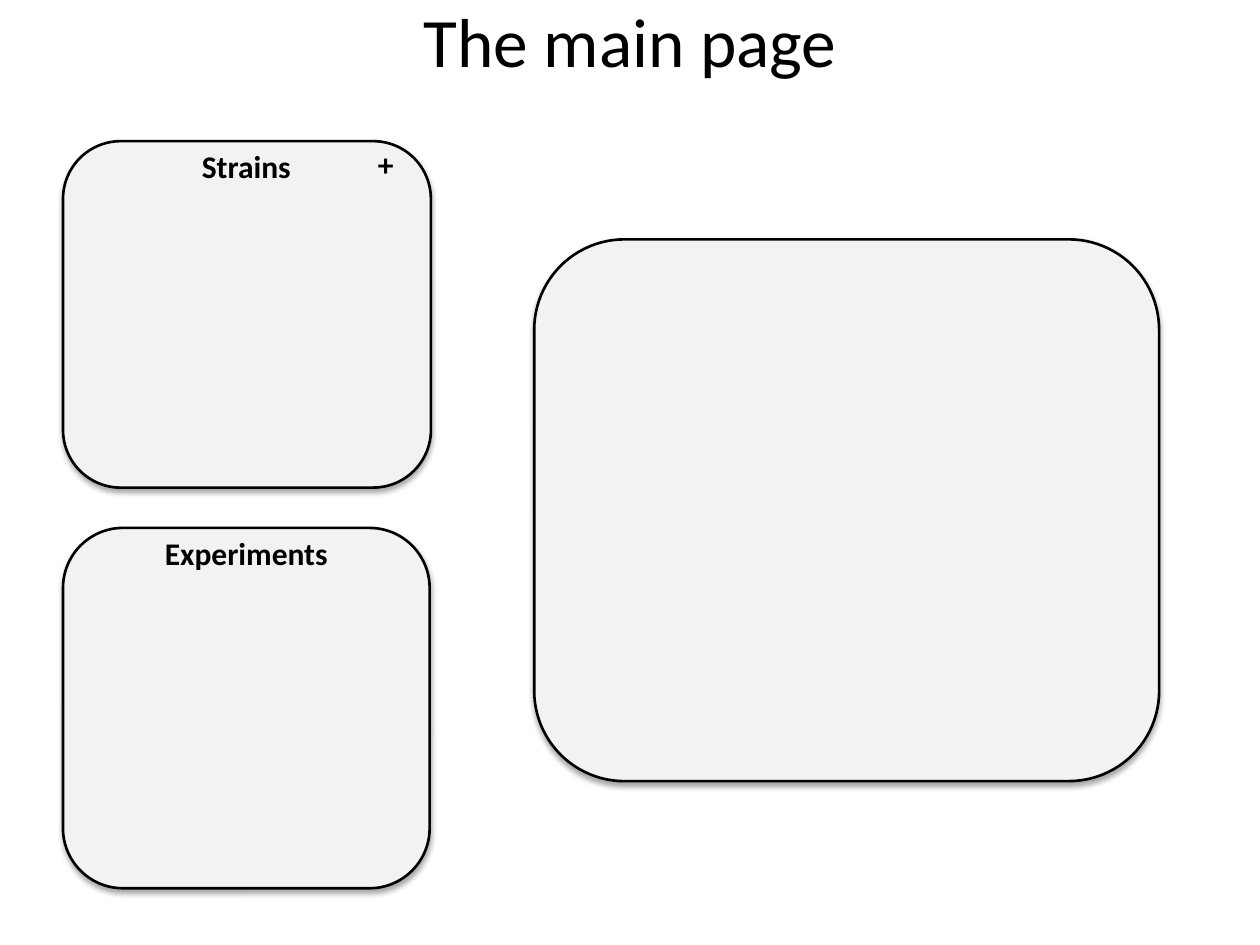
from pptx import Presentation
from pptx.dml.color import RGBColor
from pptx.enum.shapes import MSO_SHAPE as Shape
from pptx.enum.text import MSO_ANCHOR as Anchor, MSO_AUTO_SIZE as Fit, PP_ALIGN as Align
from pptx.util import Inches, Pt

WIDTH, HEIGHT = 10, 7.5
LEFT = 0.5            # shared left edge of title and panels
SIDE = 2.91           # width of the left column
BLACK, GREY = "000000", "F2F2F2"


def color(code):
    return RGBColor.from_string(code)


def style(frame, size, bold=None, align=Align.CENTER):
    for par in frame.paragraphs:
        par.alignment = align
        for run in par.runs:
            font = run.font
            font.name, font.size, font.bold = "Calibri", Pt(size), bold
            font.color.rgb = color(BLACK)


def add_title(slide, text):
    title = slide.shapes.title
    title.left, title.top = Inches(LEFT), 0
    title.width, title.height = Inches(WIDTH - 2 * LEFT), Inches(0.63)
    frame = title.text_frame
    frame.text = text
    frame.auto_size = Fit.NONE
    frame.vertical_anchor = Anchor.MIDDLE
    style(frame, 39.6)


def add_panel(slide, *box):
    # The theme's soft shadow is kept
    panel = slide.shapes.add_shape(Shape.ROUNDED_RECTANGLE, *map(Inches, box))
    panel.fill.solid()
    panel.fill.fore_color.rgb = color(GREY)
    panel.line.color.rgb = color(BLACK)
    panel.line.width = Pt(1.5)


def add_label(slide, text, left, top, width, align=Align.CENTER):
    box = slide.shapes.add_textbox(*map(Inches, (left, top, width, 0.4)))
    frame = box.text_frame
    frame.word_wrap = True
    frame.auto_size = Fit.SHAPE_TO_FIT_TEXT
    frame.text = text
    style(frame, 18, True, align)


def main():
    deck = Presentation()
    deck.slide_width, deck.slide_height = Inches(WIDTH), Inches(HEIGHT)
    slide = deck.slides.add_slide(deck.slide_layouts[5])
    add_title(slide, "The main page")

    # Left column: headed panels
    for name, top, width, height in (("Strains", 1.12, 2.92, 2.75),
                                     ("Experiments", 4.19, SIDE, 2.86)):
        add_panel(slide, LEFT, top, width, height)
        add_label(slide, name, LEFT, top, SIDE)
    add_label(slide, "+", 2.9, 1.1, 0.51, Align.LEFT)

    # Main panel
    add_panel(slide, 4.24, 1.9, 4.96, 4.3)
    deck.save("out.pptx")


if __name__ == "__main__":
    main()
